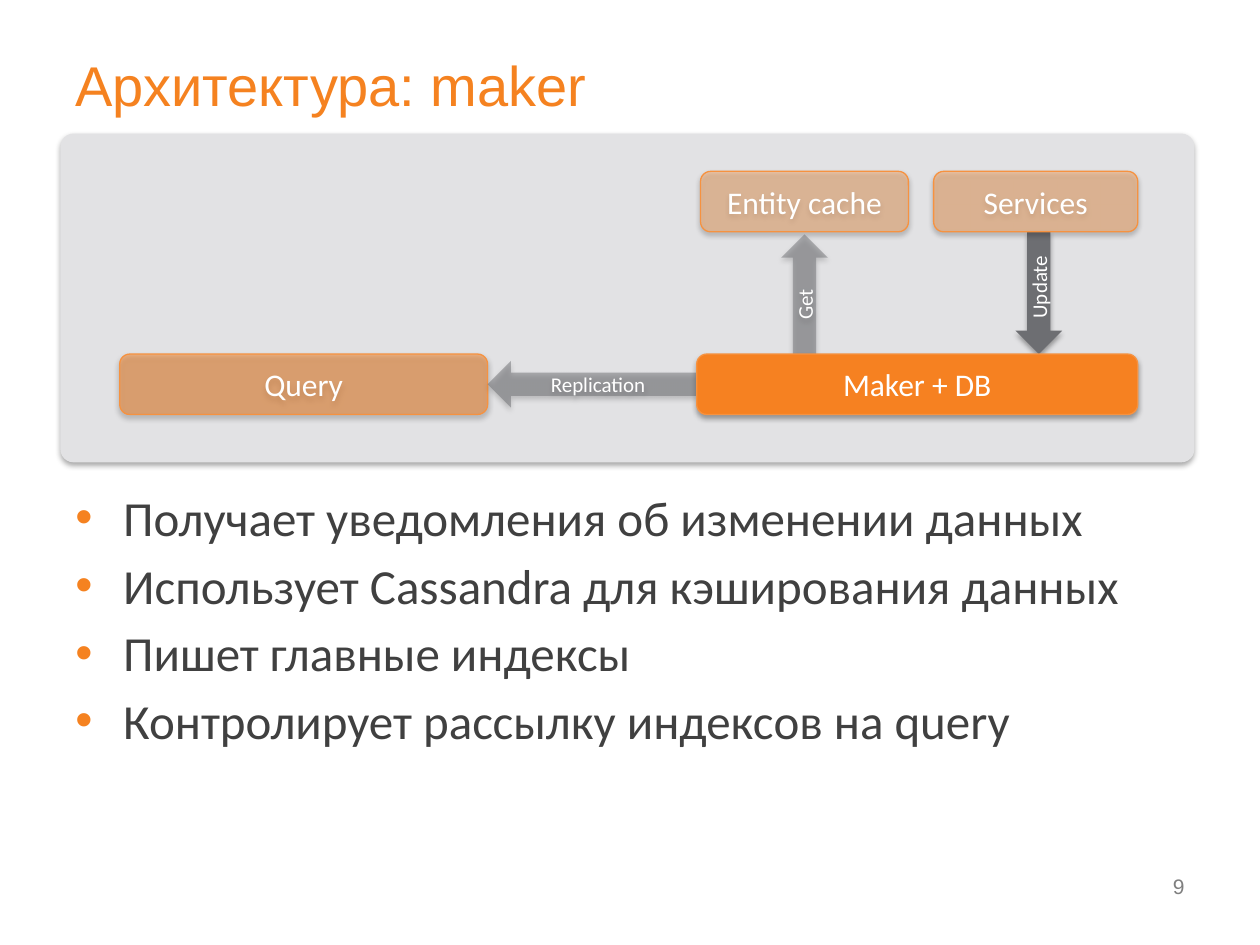
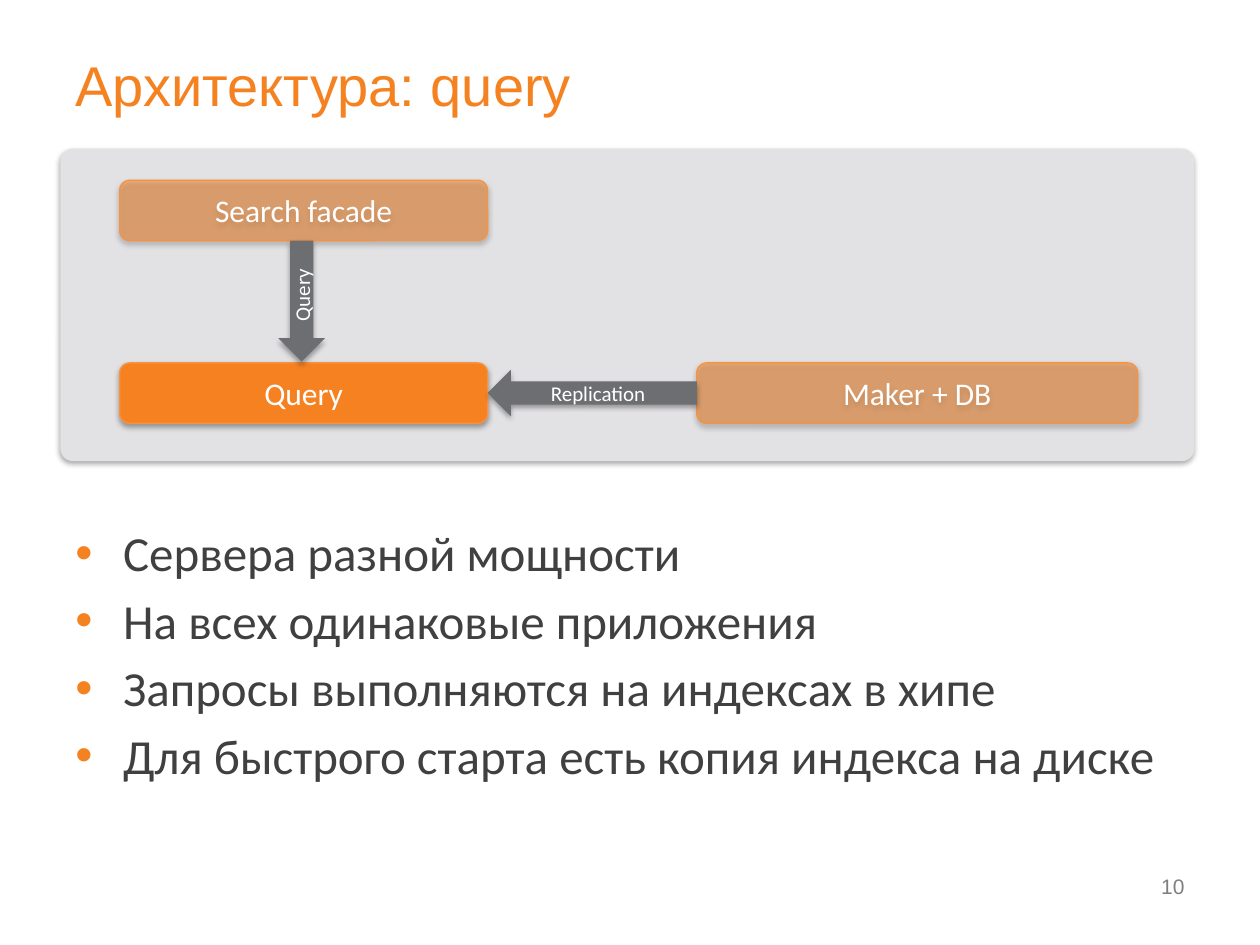
from dataclasses import dataclass
from typing import NamedTuple

from lxml import etree
from pptx import Presentation
from pptx.dml.color import RGBColor
from pptx.enum.shapes import MSO_SHAPE
from pptx.enum.text import MSO_ANCHOR, PP_ALIGN
from pptx.oxml.ns import qn
from pptx.util import Inches, Pt

ROUNDED, DOWN_ARROW = MSO_SHAPE.ROUNDED_RECTANGLE, MSO_SHAPE.DOWN_ARROW
TOP, MIDDLE = MSO_ANCHOR.TOP, MSO_ANCHOR.MIDDLE
LEFT, CENTER, RIGHT = PP_ALIGN.LEFT, PP_ALIGN.CENTER, PP_ALIGN.RIGHT

# The grid has 100 columns and 75 rows
SLIDE_WIDTH, SLIDE_HEIGHT = Inches(10), Inches(7.5)
COLUMN, ROW = SLIDE_WIDTH / 100, SLIDE_HEIGHT / 75


class TextStyle(NamedTuple):
    font: str
    size: int
    color: str


@dataclass(frozen=True)
class Theme:
    title: TextStyle = TextStyle("Arial", 32, "F58220")
    body: TextStyle = TextStyle("Calibri", 28, "404040")
    node: TextStyle = TextStyle("Calibri", 18, "FFFFFF")
    arrow: TextStyle = TextStyle("Calibri", 12, "FFFFFF")
    number: TextStyle = TextStyle("Arial", 12, "7F7F7F")
    bullet: str = "F58220"
    panel: str = "E2E2E4"
    accent: str = "F68121"
    accent_light: str = "F9AB6B"
    outline: str = "F69240"
    arrow_fill: str = "6D6E72"
    shadow: str = "000000"


THEME = Theme()


class Box(NamedTuple):
    """Left and width in columns, top and height in rows."""
    left: float
    top: float
    width: float
    height: float


class Direction(NamedTuple):
    rotation: int
    text_flow: str


DOWN, LEFTWARD, UP = Direction(0, "vert270"), Direction(90, "vert270"), Direction(180, "vert")


@dataclass(frozen=True)
class Node:
    text: str
    left: float
    top: float
    width: float
    opacity: int = 100
    fill: str = THEME.accent


@dataclass(frozen=True)
class Arrow:
    text: str
    center_column: float
    center_row: float
    length: float
    direction: Direction
    opacity: int = 100


@dataclass(frozen=True)
class ArchitectureSlide:
    number: int
    title: str
    panel_top: float
    panel_height: float
    diagram: tuple
    body_top: float
    body_height: float
    bullets: tuple


NODE_HEIGHT, ARROW_THICKNESS = 4.8, 3.7
QUERY_LEFT, QUERY_WIDTH = 9.5, 29.2
MAKER_LEFT, MAKER_WIDTH = 55.3, 35
TITLE_BOX = Box(5, 3, 90, 7.4)
NUMBER_BOX = Box(71.7, 68.3, 23.3, 4)


def replication(node_top: float, opacity: int = 100) -> Arrow:
    """Arrow that fills the gap between the query and maker nodes."""
    start = QUERY_LEFT + QUERY_WIDTH
    return Arrow("Replication", (start + MAKER_LEFT) / 2, node_top + NODE_HEIGHT / 2,
                 MAKER_LEFT - start, LEFTWARD, opacity)


SLIDES = (
    ArchitectureSlide(
        9, "Архитектура: maker", 10.6, 26.1,
        (
            Arrow("Update", 82.45, 23.25, 9.7, DOWN),
            Node("Query", QUERY_LEFT, 28.1, QUERY_WIDTH, 50),
            replication(28.1, 49),
            Node("Services", 74.1, 13.6, 16.2, 52, THEME.accent_light),
            Node("Entity cache", 55.6, 13.6, 16.5, 49, THEME.accent_light),
            Arrow("Get", 63.85, 23.7, 10.2, UP, 48),
            Node("Maker + DB", MAKER_LEFT, 28.1, MAKER_WIDTH),
        ),
        37.9, 28.6,
        (
            "Получает уведомления об изменении данных",
            "Использует Cassandra для кэширования данных",
            "Пишет главные индексы",
            "Контролирует рассылку индексов на query",
        ),
    ),
    ArchitectureSlide(
        10, "Архитектура: query", 11.8, 24.8,
        (
            Node("Search facade", QUERY_LEFT, 14.3, QUERY_WIDTH, 51),
            Node("Maker + DB", MAKER_LEFT, 28.8, MAKER_WIDTH, 51),
            Node("Query", QUERY_LEFT, 28.8, QUERY_WIDTH),
            replication(28.8),
            Arrow("Query", 23.95, 23.9, 9.6, DOWN),
        ),
        40.7, 22.3,
        (
            "Сервера разной мощности",
            "На всех одинаковые приложения",
            "Запросы выполняются на индексах в хипе",
            "Для быстрого старта есть копия индекса на диске",
        ),
    ),
)


def place(box: Box) -> tuple[int, int, int, int]:
    return (round(box.left * COLUMN), round(box.top * ROW),
            round(box.width * COLUMN), round(box.height * ROW))


def add_run(paragraph, text: str, style: TextStyle) -> None:
    run = paragraph.add_run()
    run.text = text
    run.font.name = style.font
    run.font.size = Pt(style.size)
    run.font.color.rgb = RGBColor.from_string(style.color)


def write(shape, text: str, style: TextStyle, alignment, anchor) -> None:
    frame = shape.text_frame
    frame.word_wrap = True
    frame.vertical_anchor = anchor
    paragraph = frame.paragraphs[0]
    paragraph.alignment = alignment
    add_run(paragraph, text, style)


def add_color(parent, color: str, opacity: int) -> None:
    element = etree.SubElement(parent, qn("a:srgbClr"), val=color)
    etree.SubElement(element, qn("a:alpha"), val=str(opacity * 1000))


def add_solid(slide, kind, box: Box, color: str, opacity: int = 100):
    """Filled shape without a line, with a soft shadow below it."""
    shape = slide.shapes.add_shape(kind, *place(box))
    shape.fill.solid()
    shape.fill.fore_color.rgb = RGBColor.from_string(color)
    if opacity < 100:
        fill = shape.element.spPr.find(qn("a:solidFill"))
        fill.clear()
        add_color(fill, color, opacity)
    shape.line.fill.background()
    shape.shadow.inherit = False
    effects = shape.element.spPr.find(qn("a:effectLst"))
    shadow = etree.SubElement(effects, qn("a:outerShdw"), blurRad=str(Pt(3.1)),
                              dist=str(Pt(1.8)), dir="5400000", rotWithShape="0")
    add_color(shadow, THEME.shadow, 35)
    return shape


def add_node(slide, node: Node) -> None:
    box = Box(node.left, node.top, node.width, NODE_HEIGHT)
    shape = add_solid(slide, ROUNDED, box, node.fill, node.opacity)
    shape.line.color.rgb = RGBColor.from_string(THEME.outline)
    shape.line.width = Pt(0.75)
    write(shape, node.text, THEME.node, CENTER, MIDDLE)


def add_arrow(slide, arrow: Arrow) -> None:
    box = Box(arrow.center_column - ARROW_THICKNESS / 2, arrow.center_row - arrow.length / 2,
              ARROW_THICKNESS, arrow.length)
    shape = add_solid(slide, DOWN_ARROW, box, THEME.arrow_fill, arrow.opacity)
    shape.rotation = arrow.direction.rotation
    write(shape, arrow.text, THEME.arrow, CENTER, MIDDLE)
    shape.text_frame._txBody.bodyPr.set("vert", arrow.direction.text_flow)


def add_bullets(slide, box: Box, lines: tuple) -> None:
    frame = slide.shapes.add_textbox(*place(box)).text_frame
    frame.word_wrap = True
    frame.margin_top = Inches(0.08)
    for index, line in enumerate(lines):
        paragraph = frame.add_paragraph() if index else frame.paragraphs[0]
        properties = paragraph._p.get_or_add_pPr()
        properties.set("marL", str(Inches(0.38)))
        properties.set("indent", str(-Inches(0.38)))
        bullet_color = etree.SubElement(properties, qn("a:buClr"))
        etree.SubElement(bullet_color, qn("a:srgbClr"), val=THEME.bullet)
        etree.SubElement(properties, qn("a:buFont"), typeface="Arial")
        etree.SubElement(properties, qn("a:buChar"), char="•")
        if index:
            paragraph.space_before = Pt(5)
        add_run(paragraph, line, THEME.body)


def build_slide(presentation, content: ArchitectureSlide) -> None:
    slide = presentation.slides.add_slide(presentation.slide_layouts[6])
    # Title and slide number
    title = slide.shapes.add_textbox(*place(TITLE_BOX))
    title.text_frame.margin_top = Inches(0.1)
    write(title, content.title, THEME.title, LEFT, TOP)
    number = slide.shapes.add_textbox(*place(NUMBER_BOX))
    write(number, str(content.number), THEME.number, RIGHT, MIDDLE)
    # Bullet list
    add_bullets(slide, Box(5, content.body_top, 90, content.body_height), content.bullets)
    # Diagram on its panel
    panel_box = Box(4.8, content.panel_top, 90, content.panel_height)
    panel = add_solid(slide, ROUNDED, panel_box, THEME.panel)
    panel.adjustments[0] = 0.04
    for item in content.diagram:
        if isinstance(item, Node):
            add_node(slide, item)
        else:
            add_arrow(slide, item)


def main() -> None:
    presentation = Presentation()
    presentation.slide_width, presentation.slide_height = SLIDE_WIDTH, SLIDE_HEIGHT
    for content in SLIDES:
        build_slide(presentation, content)
    presentation.save("out.pptx")


if __name__ == "__main__":
    main()
